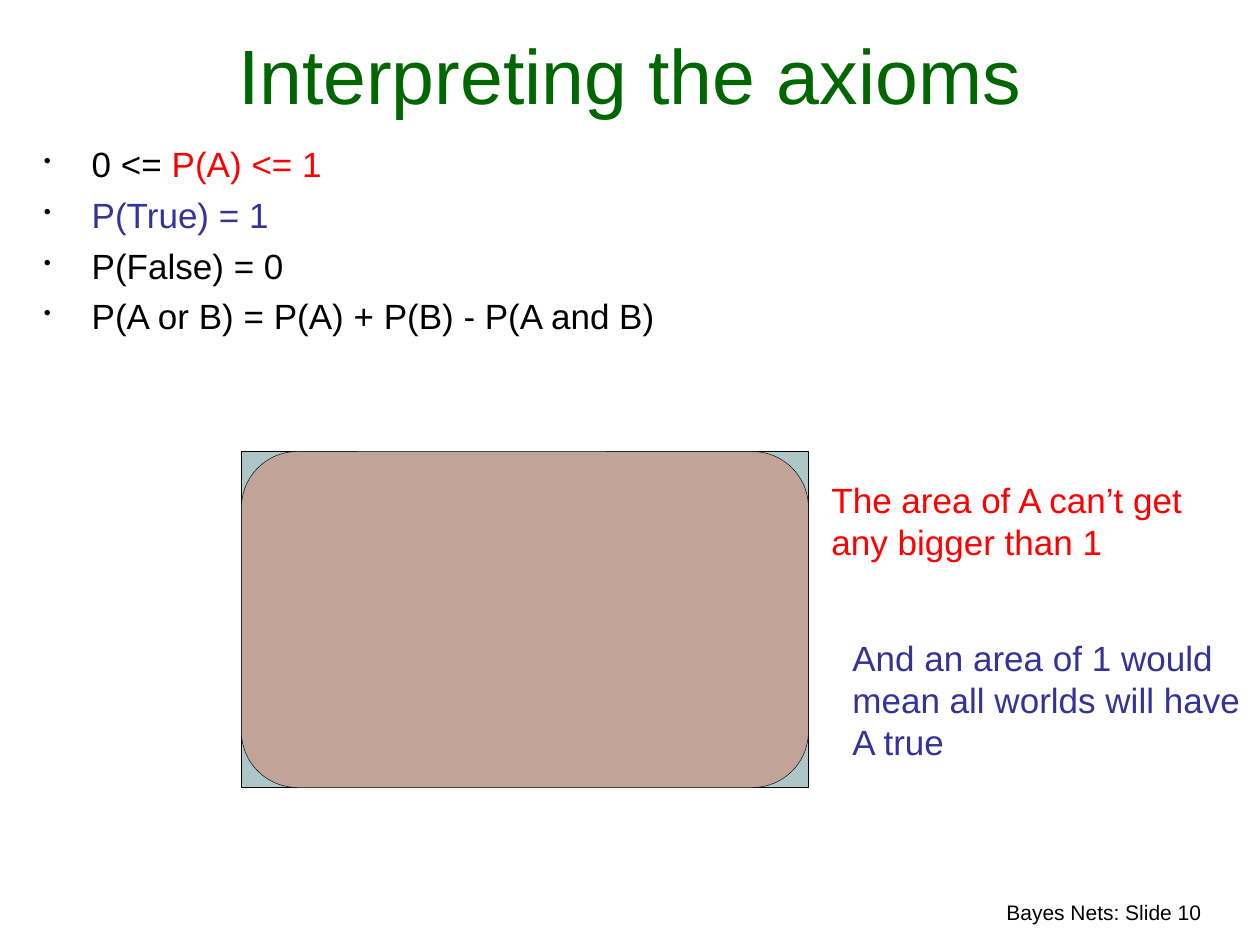
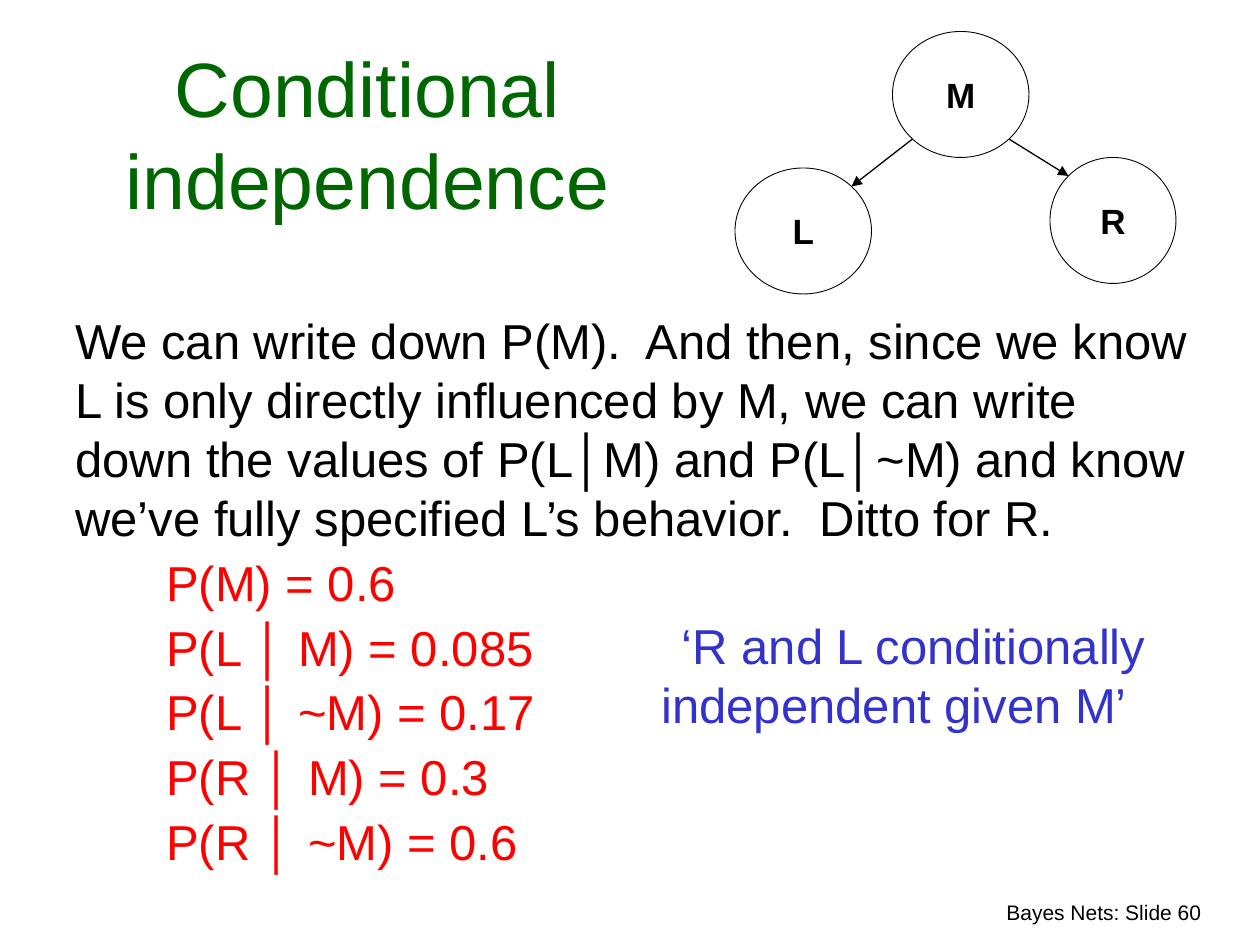
from math import sqrt
from lxml import etree
from pptx import Presentation
from pptx.dml.color import RGBColor
from pptx.enum.shapes import MSO_CONNECTOR, MSO_SHAPE
from pptx.enum.text import MSO_ANCHOR, PP_ALIGN
from pptx.oxml.ns import qn
from pptx.util import Inches, Pt

LEFT, CENTER, RIGHT = PP_ALIGN.LEFT, PP_ALIGN.CENTER, PP_ALIGN.RIGHT
TOP, MIDDLE, BOTTOM = MSO_ANCHOR.TOP, MSO_ANCHOR.MIDDLE, MSO_ANCHOR.BOTTOM
RECT, ROUNDED, OVAL = MSO_SHAPE.RECTANGLE, MSO_SHAPE.ROUNDED_RECTANGLE, MSO_SHAPE.OVAL
STRAIGHT = MSO_CONNECTOR.STRAIGHT

BLACK = RGBColor(0x00, 0x00, 0x00)
GREEN = RGBColor(0x00, 0x66, 0x00)
RED = RGBColor(0xFF, 0x00, 0x00)
INDIGO = RGBColor(0x33, 0x33, 0x99)
BLUE = RGBColor(0x33, 0x33, 0xCC)
TEAL = RGBColor(0xAD, 0xC6, 0xC7)
CLAY = RGBColor(0xC2, 0xA3, 0x98)
FONT = "Arial"

WIDTH, HEIGHT = Inches(10), Inches(7.5)
COLUMNS = 120
CELL = WIDTH / COLUMNS
FOOTER_AREA = (68.6, 85.1, 47, 3.6)

AXIOMS = [
    [("0 <= ", BLACK), ("P(A) <= 1", RED)],
    [("P(True) = 1", INDIGO)],
    [("P(False) = 0", BLACK)],
    [("P(A or B) = P(A) + P(B) - P(A and B)", BLACK)],
]
AXIOMS_AREA = (3, 13, 65, 22.5)
WORLDS_AREA = (23, 43, 54, 32)
AREA_REMARKS = [
    ("The area of A can’t get any bigger than 1", RED, (78, 45, 40, 9.2)),
    ("And an area of 1 would mean all worlds will have A true", INDIGO, (80, 60, 40, 13.2)),
]

NODES = {"M": (85, 3, 13, 12), "L": (70, 16, 13, 12), "R": (100, 15, 12, 12)}
INFLUENCES = [("M", "L"), ("M", "R")]
EXPLANATION = (
    "We can write down P(M).  And then, since we know L is only directly influenced by M, "
    "we can write down the values of P(L│M) and P(L│~M) and know we’ve fully specified "
    "L’s behavior.  Ditto for R."
)
PROBABILITIES = [
    "P(M) = 0.6",
    "P(L │ M) = 0.085",
    "P(L │ ~M) = 0.17",
    "P(R │ M) = 0.3",
    "P(R │ ~M) = 0.6",
]
SPECIFICATION_AREA = (6, 29, 110, 54.6)
CONCLUSION = "‘R and L conditionally independent given M’\t"
CONCLUSION_AREA = (57, 58, 60, 12.5)


def on_grid(area):
    return [round(cells * CELL) for cells in area]


def set_indent(paragraph, margin, first=0):
    properties = paragraph._p.get_or_add_pPr()
    properties.set("marL", str(Inches(margin)))
    properties.set("indent", str(Inches(first)))
    return properties


def add_bullet(paragraph):
    properties = set_indent(paragraph, 0.38, -0.38)
    color = etree.SubElement(properties, qn("a:buClr"))
    etree.SubElement(color, qn("a:srgbClr"), val=str(BLACK))
    etree.SubElement(properties, qn("a:buSzPct"), val="60000")
    etree.SubElement(properties, qn("a:buChar"), char="•")


def write(frame, lines, size, align=LEFT, anchor=TOP, gap=0, bold=False, wrap=True):
    frame.word_wrap = wrap
    frame.vertical_anchor = anchor
    for index, runs in enumerate(lines):
        paragraph = frame.add_paragraph() if index else frame.paragraphs[0]
        paragraph.alignment = align
        if index:
            paragraph.space_before = Pt(gap)
        for words, color in runs:
            run = paragraph.add_run()
            run.text = words
            run.font.name, run.font.size, run.font.bold = FONT, Pt(size), bold
            run.font.color.rgb = color
    return frame.paragraphs


def add_text(slide, area, lines, size, **style):
    return write(slide.shapes.add_textbox(*on_grid(area)).text_frame, lines, size, **style)


def add_outlined(slide, kind, area, line_width, fill=None):
    shape = slide.shapes.add_shape(kind, *on_grid(area))
    shape.shadow.inherit = False
    if fill is None:
        shape.fill.background()
    else:
        shape.fill.solid()
        shape.fill.fore_color.rgb = fill
    shape.line.color.rgb = BLACK
    shape.line.width = Pt(line_width)
    return shape


def start_slide(deck, title, title_area, number):
    slide = deck.slides.add_slide(deck.slide_layouts[6])
    add_text(slide, FOOTER_AREA, [[(f"Bayes Nets: Slide {number}", BLACK)]], 12, align=RIGHT)
    add_text(slide, title_area, [[(title, GREEN)]], 44, align=CENTER, anchor=BOTTOM)
    return slide


def diagonal_point(area, across, down):
    left, top, width, height = area
    return (left + width / 2 * (1 + across / sqrt(2)),
            top + height / 2 * (1 + down / sqrt(2)))


def add_influence(slide, cause, effect):
    side = 1 if effect[0] > cause[0] else -1
    ends = diagonal_point(cause, side, 1) + diagonal_point(effect, -side, -1)
    arrow = slide.shapes.add_connector(STRAIGHT, *on_grid(ends))
    arrow.line.color.rgb = BLACK
    arrow.line.width = Pt(0.75)
    etree.SubElement(arrow.line._get_or_add_ln(), qn("a:tailEnd"), type="triangle")
    etree.SubElement(arrow._element.spPr, qn("a:effectLst"))


def build_axioms(deck):
    slide = start_slide(deck, "Interpreting the axioms", (1, 2, 118, 10), 10)
    for axiom in add_text(slide, AXIOMS_AREA, AXIOMS, 20, gap=5):
        add_bullet(axiom)
    add_outlined(slide, RECT, WORLDS_AREA, 0.25, TEAL)
    for remark, color, area in AREA_REMARKS:
        add_text(slide, area, [[(remark, color)]], 20)
    add_outlined(slide, ROUNDED, WORLDS_AREA, 0.25, CLAY)


def build_independence(deck):
    slide = start_slide(deck, "Conditional independence", (3, 2, 64, 20), 60)
    for node, area in NODES.items():
        circle = add_outlined(slide, OVAL, area, 0.5)
        write(circle.text_frame, [[(node, BLACK)]], 20, align=CENTER, anchor=MIDDLE,
              bold=True, wrap=False)
    for cause, effect in INFLUENCES:
        add_influence(slide, NODES[cause], NODES[effect])
    lines = [[(EXPLANATION, BLACK)]] + [[(value, RED)] for value in PROBABILITIES]
    for probability in add_text(slide, SPECIFICATION_AREA, lines, 28, gap=3.5)[1:]:
        set_indent(probability, 0.72)
    add_text(slide, CONCLUSION_AREA, [[(CONCLUSION, BLUE)]], 28, align=CENTER)


def main():
    deck = Presentation()
    deck.slide_width, deck.slide_height = WIDTH, HEIGHT
    build_axioms(deck)
    build_independence(deck)
    deck.save("out.pptx")


if __name__ == "__main__":
    main()
